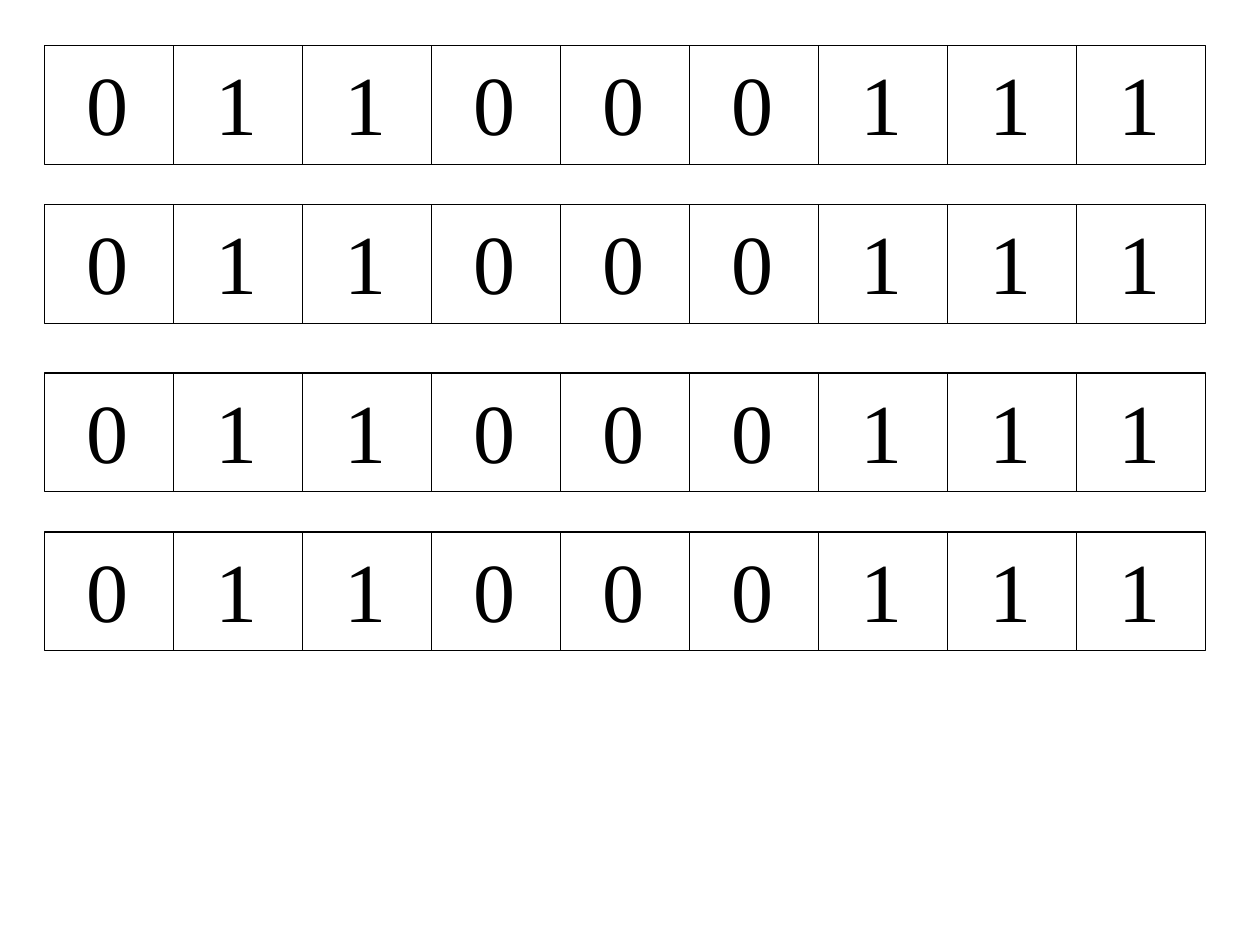
import pptx
import pptx.dml.color
import pptx.enum.shapes
import pptx.enum.text
import pptx.util

Pt = pptx.util.Pt
COLOURS = {"ink": "000000"}
BITS = "011000111"
ROW_TOPS = (26, 117, 213.1, 304)
ROW_LEFT = 25.4
CELL_WIDTH, CELL_HEIGHT = 73.72, 67.9
DIGIT_INDENT, DIGIT_WIDTH, DIGIT_HEIGHT = 17, 35.3, 64.8

deck = pptx.Presentation()
deck.slide_width, deck.slide_height = Pt(720), Pt(540)
page = deck.slides.add_slide(deck.slide_layouts[6])
ink = pptx.dml.color.RGBColor.from_string(COLOURS["ink"])


def add_text(shapes, text, *, left, top, width, height, size, font, colour):
    box = shapes.add_textbox(Pt(left), Pt(top), Pt(width), Pt(height))
    frame = box.text_frame
    frame.word_wrap = True
    frame.auto_size = pptx.enum.text.MSO_AUTO_SIZE.SHAPE_TO_FIT_TEXT
    span = frame.paragraphs[0].add_run()
    span.text = text
    span.font.size = Pt(size)
    span.font.name = font
    span.font.color.rgb = colour


for top in ROW_TOPS:
    for column, bit in enumerate(BITS):
        left = ROW_LEFT + column * CELL_WIDTH
        cell = page.shapes.add_group_shape()
        frame = cell.shapes.add_shape(
            pptx.enum.shapes.MSO_SHAPE.RECTANGLE,
            Pt(left), Pt(top), Pt(CELL_WIDTH), Pt(CELL_HEIGHT))
        frame.shadow.inherit = False
        frame.fill.background()
        frame.line.color.rgb = ink
        frame.line.width = Pt(0.75)
        add_text(cell.shapes, bit, left=left + DIGIT_INDENT, top=top,
                 width=DIGIT_WIDTH, height=DIGIT_HEIGHT,
                 size=48, font="Times New Roman", colour=ink)

deck.save("out.pptx")
